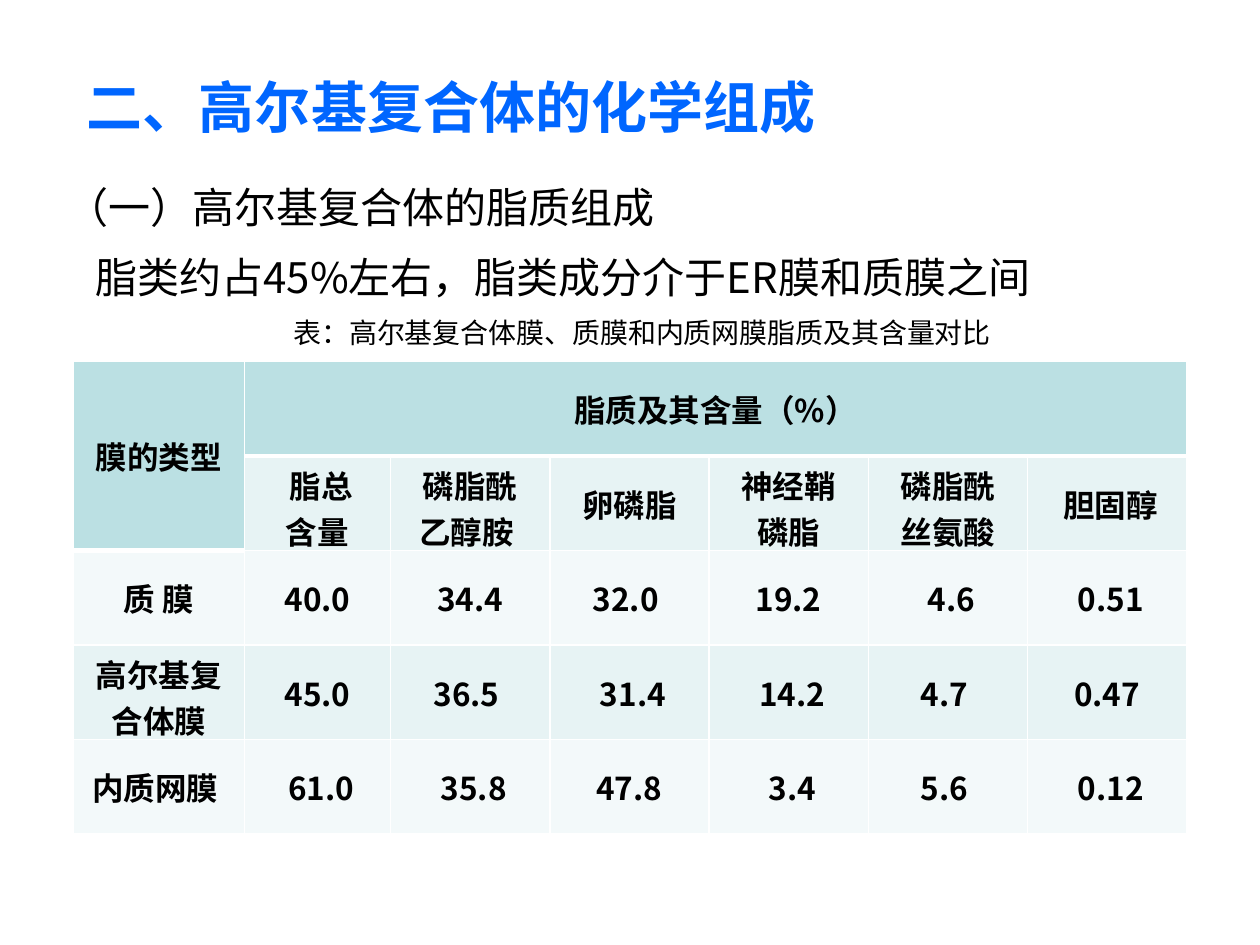
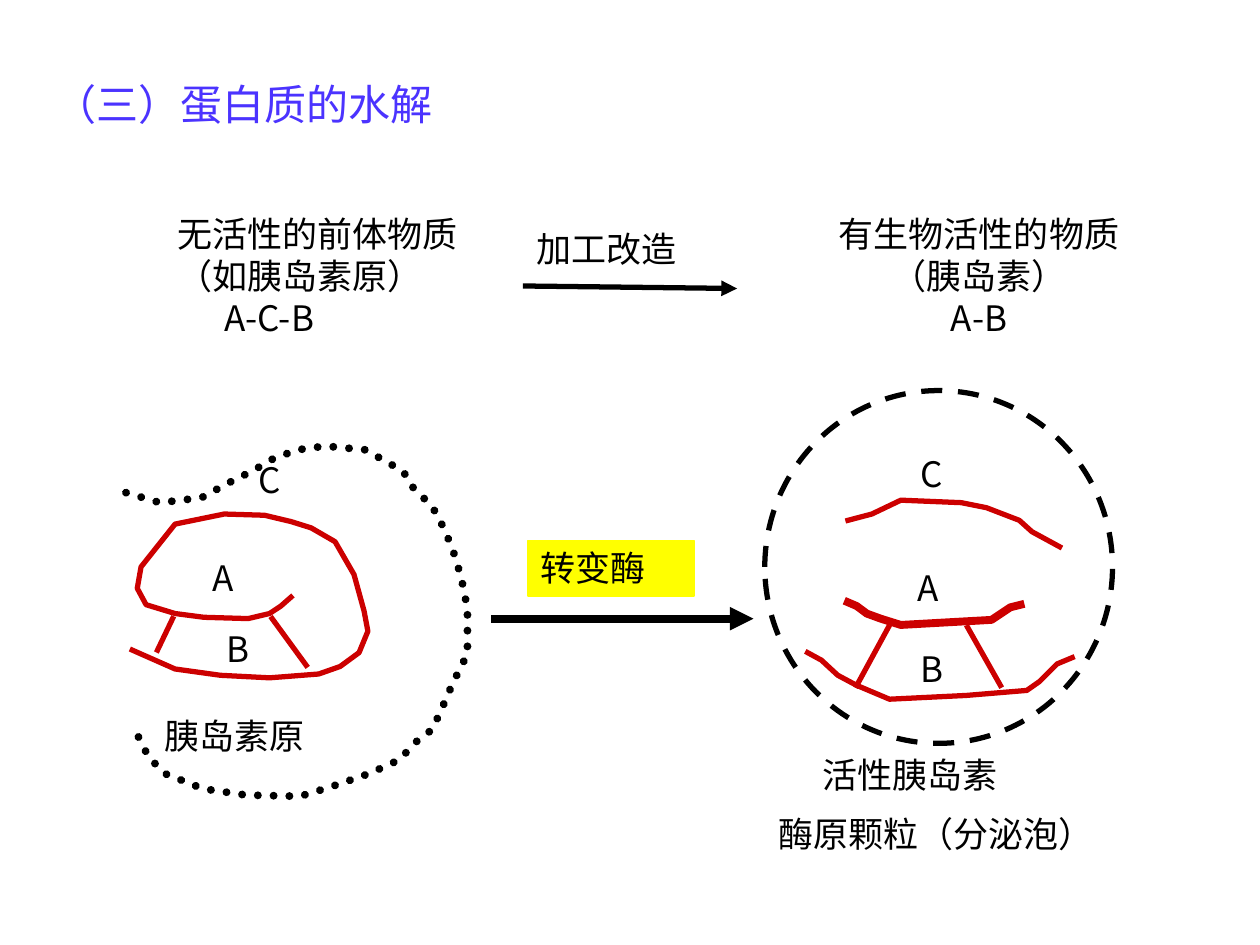
import pptx
import pptx.util
import pptx.dml.color
import pptx.enum.dml
import pptx.enum.shapes
import pptx.enum.text
import pptx.oxml
import pptx.oxml.ns

Inches = pptx.util.Inches
Pt = pptx.util.Pt
RGBColor = pptx.dml.color.RGBColor
Align = pptx.enum.text.PP_ALIGN
Anchor = pptx.enum.text.MSO_ANCHOR
Fit = pptx.enum.text.MSO_AUTO_SIZE
Dash = pptx.enum.dml.MSO_LINE
Shape = pptx.enum.shapes.MSO_SHAPE
qn = pptx.oxml.ns.qn

FONT = "Noto Sans CJK SC"
BLACK = RGBColor(0x00, 0x00, 0x00)
BLUE = RGBColor(0x00, 0x66, 0xFF)
VIOLET = RGBColor(0x4B, 0x33, 0xFF)
RED = RGBColor(0xCC, 0x00, 0x00)
YELLOW = RGBColor(0xFF, 0xFF, 0x00)
TEAL = RGBColor(0xBB, 0xE0, 0xE3)
MIST = RGBColor(0xE7, 0xF3, 0xF4)
PALE = RGBColor(0xF3, 0xF9, 0xFA)

LIPIDS = [
    ["膜的类型", "脂质及其含量（%）", "", "", "", "", ""],
    ["", " 脂总\n含量", "磷脂酰\n乙醇胺 ", "卵磷脂", "神经鞘\n磷脂", "磷脂酰\n丝氨酸", " 胆固醇"],
    ["质 膜", "40.0", "34.4", "32.0 ", "19.2", " 4.6", " 0.51"],
    ["高尔基复合体膜", " 45.0 ", "36.5 ", " 31.4", " 14.2", "4.7 ", "0.47"],
    ["内质网膜 ", " 61.0", " 35.8", "47.8", " 3.4", "5.6 ", " 0.12"],
]

CHAIN = [(1.31, 1.2), (1.23, 1.27), (1.14, 1.33), (0.97, 1.37), (0.62, 1.36),
         (0.39, 1.33), (0.16, 1.26), (0.09, 1.13), (0.12, 0.96), (0.39, 0.62),
         (0.78, 0.54), (1.1, 0.55), (1.31, 0.6), (1.47, 0.65), (1.66, 0.76),
         (1.81, 1.02), (1.89, 1.31), (1.92, 1.47), (1.85, 1.64), (1.7, 1.75),
         (1.53, 1.81), (1.14, 1.84), (0.75, 1.82), (0.39, 1.77), (0.14, 1.66),
         (0.05, 1.62)]
SHELL = [(0, 0.37), (0.27, 0.45), (0.6, 0.41), (0.8, 0.3), (1, 0.2),
         (1.17, 0.1), (1.36, 0.03), (1.58, 0), (1.9, 0.03), (2.2, 0.2),
         (2.27, 0.32), (2.42, 0.47), (2.48, 0.56), (2.59, 0.81), (2.66, 1.04),
         (2.71, 1.29), (2.71, 1.65), (2.59, 1.89), (2.5, 2.1), (2.43, 2.25),
         (2.3, 2.35), (2.17, 2.49), (1.93, 2.6), (1.61, 2.71), (1.38, 2.78),
         (0.95, 2.77), (0.61, 2.72), (0.31, 2.6), (0.18, 2.47), (0.1, 2.31),
         (0.06, 2.24)]
A_CHAIN = [(0.66, 1.68), (0.73, 1.71), (0.81, 1.77), (0.92, 1.81), (1.08, 1.86),
           (1.8, 1.82), (1.95, 1.72), (2.03, 1.7)]
B_CHAIN = [(0.34, 2.08), (0.45, 2.14), (0.58, 2.26), (0.73, 2.34), (0.99, 2.45),
           (1.6, 2.42), (2.08, 2.38), (2.18, 2.31), (2.32, 2.17), (2.44, 2.12)]
C_CHAIN = [(0.66, 1.03), (0.85, 0.98), (1.08, 0.87), (1.56, 0.89), (1.76, 0.93),
           (2.02, 1.03), (2.12, 1.12), (2.34, 1.24)]


def style(para, size, color=BLACK, bold=False, align=Align.LEFT, space=None):
    para.alignment = align
    if space:
        para.line_spacing = space
    for run in para.runs:
        run.font.name = FONT
        run.font.size = Pt(size)
        run.font.bold = bold
        run.font.color.rgb = color
        east = run.font._element.makeelement(qn("a:ea"), {"typeface": FONT})
        run.font._element.append(east)


def indent(para, inches):
    props = para._p.get_or_add_pPr()
    props.set("marL", str(Inches(inches)))
    props.set("indent", "0")


def head(slide, box, text, size, color, bold, space):
    title = slide.shapes.title
    title.left, title.top, title.width, title.height = map(Inches, box)
    frame = title.text_frame
    frame.text = text
    frame.word_wrap = True
    frame.auto_size = Fit.NONE
    frame.vertical_anchor = Anchor.TOP
    style(frame.paragraphs[0], size, color, bold, space=space)


def label(slide, box, text, size=20, align=Align.LEFT, space=None):
    area = slide.shapes.add_textbox(*map(Inches, box))
    frame = area.text_frame
    frame.word_wrap = True
    frame.auto_size = Fit.SHAPE_TO_FIT_TEXT
    frame.text = text
    for para in frame.paragraphs:
        style(para, size, align=align, space=space)
    return frame.paragraphs


def stroke(slide, start, end, color, width, arrow=False, cap="sq"):
    line = slide.shapes.add_connector(
        pptx.enum.shapes.MSO_CONNECTOR.STRAIGHT, *map(Inches, start + end))
    line.line.color.rgb = color
    line.line.width = Pt(width)
    pen = line.line._get_or_add_ln()
    pen.set("cap", cap)
    if arrow:
        pen.append(pen.makeelement(qn("a:tailEnd"), {"type": "triangle"}))
    props = line._element.spPr
    props.append(props.makeelement(qn("a:effectLst"), {}))


def outline(shape, color, width, dash=None):
    shape.shadow.inherit = False
    shape.fill.background()
    shape.line.color.rgb = color
    shape.line.width = Pt(width)
    if dash:
        shape.line.dash_style = dash


def curve(slide, left, top, knots, color=RED, width=3, dash=None):
    points = [(Inches(left + x), Inches(top + y)) for x, y in knots]
    pen = slide.shapes.build_freeform(*points[0])
    pen.add_line_segments(points[1:], close=False)
    shape = pen.convert_to_shape()
    outline(shape, color, width, dash)
    ink = shape.line._get_or_add_ln()
    ink.set("cap", "rnd" if dash else "sq")
    ink.append(ink.makeelement(qn("a:round"), {}))


def border(cell, row):
    props = cell._tc.get_or_add_tcPr()
    for spot, side in enumerate("LRTB"):
        width = 3 if (row, side) in ((0, "B"), (1, "T")) else 1
        props.insert(spot, pptx.oxml.parse_xml(
            f'<a:ln{side} xmlns:a="http://schemas.openxmlformats.org/drawingml/2006/main"'
            f' w="{Pt(width)}"><a:solidFill><a:srgbClr val="FFFFFF"/></a:solidFill></a:ln{side}>'))


def grid(slide, box):
    rows, cols = len(LIPIDS), len(LIPIDS[0])
    table = slide.shapes.add_table(rows, cols, *map(Inches, box)).table
    for col, width in zip(table.columns, [1.36, 1.16] + [1.264] * 5):
        col.width = Inches(width)
    for r, values in enumerate(LIPIDS):
        table.rows[r].height = Inches(box[3] / rows)
        for c, value in enumerate(values):
            cell = table.cell(r, c)
            cell.text = value
            cell.vertical_anchor = Anchor.MIDDLE
            cell.fill.solid()
            cell.fill.fore_color.rgb = TEAL if r == 0 else MIST if r % 2 else PALE
            border(cell, r)
            for para in cell.text_frame.paragraphs:
                style(para, 18, bold=True, align=Align.CENTER)
    table.cell(0, 0).merge(table.cell(1, 0))
    table.cell(0, 1).merge(table.cell(0, cols - 1))


def lipid(slide):
    head(slide, (0.59, 0.31, 6.2, 0.77), "二、高尔基复合体的化学组成", 32, BLUE, True, 1.4)
    lines = label(slide, (0.43, 1.23, 9.34, 1.61),
                  "（一）高尔基复合体的脂质组成\n"
                  "脂类约占45%左右，脂类成分介于ER膜和质膜之间\n"
                  "表：高尔基复合体膜、质膜和内质网膜脂质及其含量对比", 24, space=1.4)
    indent(lines[1], 0.23)
    lines[2].alignment = Align.CENTER
    lines[2].runs[0].font.size = Pt(16)
    grid(slide, (0.58, 2.87, 8.84, 3.75))


def bonds(slide, left, top, pairs):
    for x1, y1, x2, y2 in pairs:
        stroke(slide, (left + x1, top + y1), (left + x2, top + y2), RED, 3)


def tags(slide, left, top, items):
    for text, x, y, width in items:
        label(slide, (left + x, top + y, width, 0.44), text)


def scheme(slide, left, top):
    lines = label(slide, (left, top, 2.52, 1.11),
                  "无活性的前体物质\n（如胰岛素原）\nA-C-B")
    indent(lines[2], 0.37)
    stroke(slide, (left + 2.84, top + 0.63), (left + 4.54, top + 0.65),
           BLACK, 3, True, "flat")
    label(slide, (left + 2.85, top + 0.12, 1.75, 0.44), "加工改造")
    label(slide, (left + 4.55, top, 3.82, 1.11),
          "有生物活性的物质\n（胰岛素）\nA-B", align=Align.CENTER)


def source(slide, left, top):
    curve(slide, left, top, CHAIN)
    bonds(slide, left, top, [(0.37, 1.37, 0.25, 1.62), (1.16, 1.37, 1.43, 1.74)])
    tags(slide, left, top, [("A", 0.59, 0.83, 0.33), ("B", 0.7, 1.39, 0.31),
                            ("C", 0.95, 0.05, 0.31), ("胰岛素原", 0.21, 2.08, 1.76)])
    curve(slide, left, top, SHELL, BLACK, 4.5, Dash.ROUND_DOT)


def product(slide, left, top):
    curve(slide, left, top, B_CHAIN)
    curve(slide, left, top, A_CHAIN, width=4.5)
    curve(slide, left, top, C_CHAIN)
    bonds(slide, left, top, [(0.98, 1.88, 0.73, 2.34), (1.61, 1.88, 1.87, 2.34)])
    ring = slide.shapes.add_shape(Shape.OVAL, *map(Inches, (left, top, 2.76, 2.8)))
    outline(ring, BLACK, 3, Dash.DASH)
    tags(slide, left, top, [("A", 1.11, 1.35, 0.38), ("B", 1.14, 1.99, 0.35),
                            ("C", 1.14, 0.44, 0.35), ("活性胰岛素", 0.36, 2.83, 2.33),
                            ("酶原颗粒（分泌泡）", 0.01, 3.3, 3.62)])


def enzyme(slide, left, top):
    stroke(slide, (left, top + 0.62), (left + 2.05, top + 0.62), BLACK, 4.5, True)
    tag = slide.shapes.add_shape(
        Shape.RECTANGLE, *map(Inches, (left + 0.26, top, 1.32, 0.44)))
    outline(tag, YELLOW, 1)
    tag.fill.solid()
    tag.fill.fore_color.rgb = YELLOW
    frame = tag.text_frame
    frame.text = "转变酶"
    frame.vertical_anchor = Anchor.TOP
    style(frame.paragraphs[0], 20)


def cleave(slide):
    head(slide, (0.33, 0.45, 9.41, 0.55), "（三）蛋白质的水解", 24, VIOLET, False, 1.3)
    scheme(slide, 1.31, 1.64)
    source(slide, 1, 3.54)
    product(slide, 6.07, 3.1)
    enzyme(slide, 3.93, 4.29)


def main():
    deck = pptx.Presentation()
    deck.slide_width = Inches(10)
    deck.slide_height = Inches(7.5)
    for build in (lipid, cleave):
        build(deck.slides.add_slide(deck.slide_layouts[5]))
    deck.save("out.pptx")


if __name__ == "__main__":
    main()
